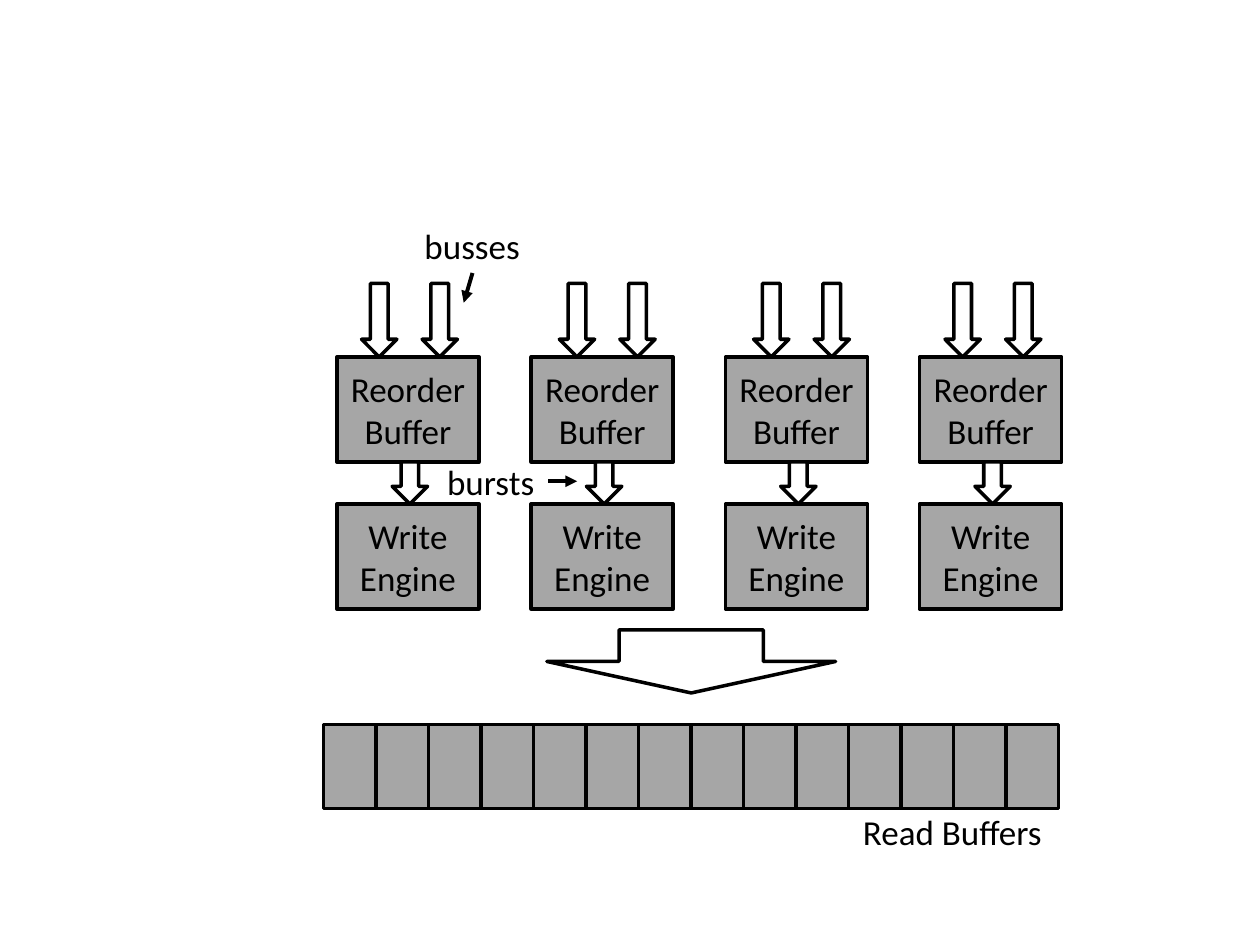
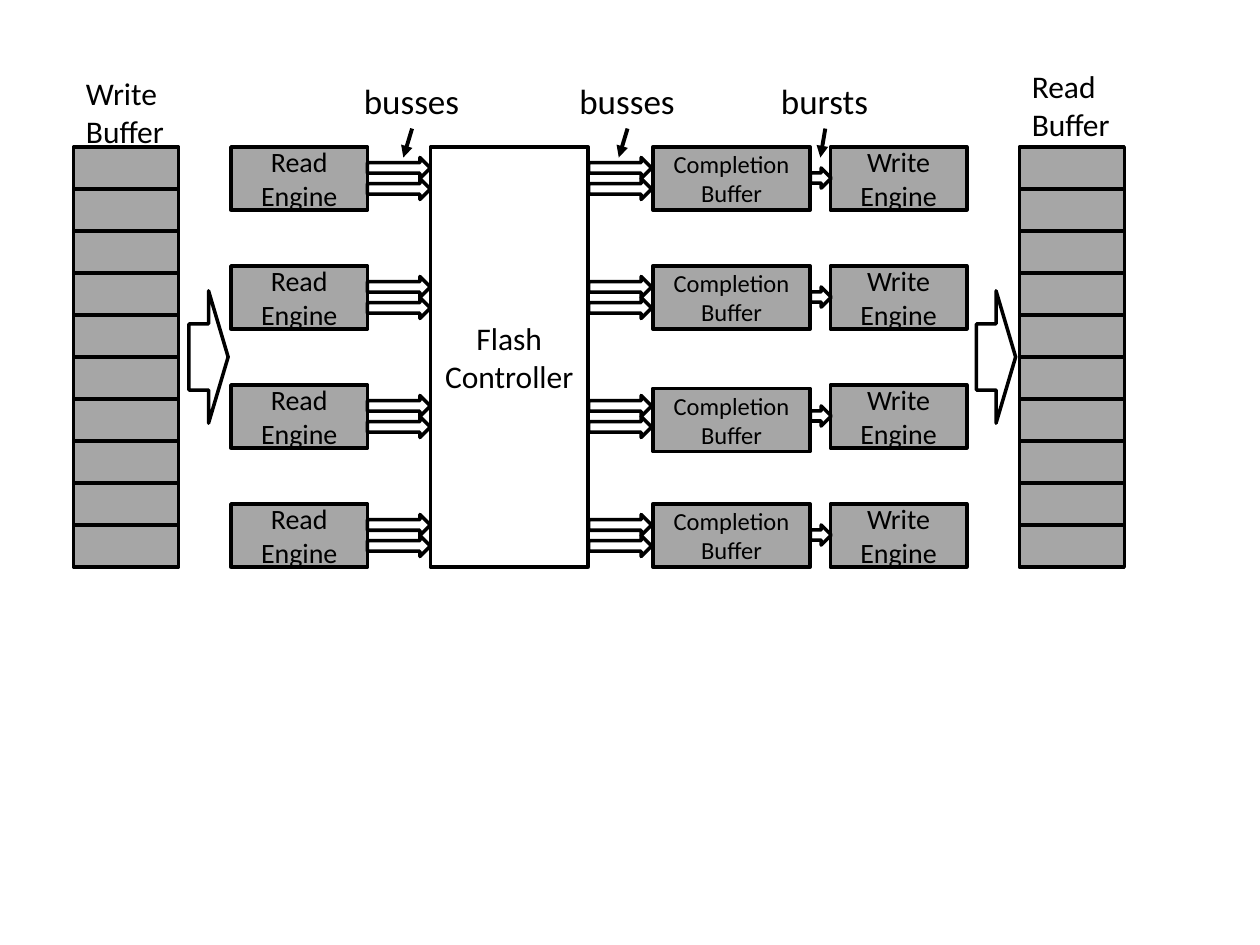
from dataclasses import dataclass

import lxml.etree
import pptx
import pptx.dml.color
import pptx.enum.shapes
import pptx.enum.text
import pptx.oxml.ns
import pptx.slide
import pptx.util

Pt = pptx.util.Pt
Shape = pptx.enum.shapes.MSO_SHAPE
Align = pptx.enum.text.PP_ALIGN
Slide = pptx.slide.Slide

BLACK = pptx.dml.color.RGBColor(0x00, 0x00, 0x00)
GRAY = pptx.dml.color.RGBColor(0xA6, 0xA6, 0xA6)
WHITE = pptx.dml.color.RGBColor(0xFF, 0xFF, 0xFF)
FONT = "Calibri"
OUTLINE_WIDTH = 2
POINTER_WIDTH = 2.25
LABEL_SIZE = 20


@dataclass(frozen=True)
class Box:
    left: float
    top: float
    width: float
    height: float
    text: str = ""
    size: float = LABEL_SIZE
    fill: pptx.dml.color.RGBColor = GRAY
    preset: Shape = Shape.RECTANGLE


@dataclass(frozen=True)
class Label:
    left: float
    top: float
    width: float
    height: float
    text: str
    size: float = LABEL_SIZE


@dataclass(frozen=True)
class Pointer:
    start_x: float
    start_y: float
    end_x: float
    end_y: float


def style_text(text_frame, text: str, size: float, alignment: Align) -> None:
    text_frame.text = text
    for paragraph in text_frame.paragraphs:
        paragraph.alignment = alignment
        for run in paragraph.runs:
            run.font.name = FONT
            run.font.size = Pt(size)
            run.font.color.rgb = BLACK


def draw_box(slide: Slide, box: Box) -> None:
    shape = slide.shapes.add_shape(
        box.preset, Pt(box.left), Pt(box.top), Pt(box.width), Pt(box.height)
    )
    shape.shadow.inherit = False
    shape.fill.solid()
    shape.fill.fore_color.rgb = box.fill
    shape.line.color.rgb = BLACK
    shape.line.width = Pt(OUTLINE_WIDTH)
    if box.text:
        shape.text_frame.vertical_anchor = pptx.enum.text.MSO_ANCHOR.MIDDLE
        style_text(shape.text_frame, box.text, box.size, Align.CENTER)


def draw_arrow(
    slide: Slide, preset: Shape, left: float, top: float, width: float, height: float
) -> None:
    draw_box(slide, Box(left, top, width, height, fill=WHITE, preset=preset))


def draw_label(slide: Slide, label: Label) -> None:
    shape = slide.shapes.add_textbox(
        Pt(label.left), Pt(label.top), Pt(label.width), Pt(label.height)
    )
    shape.text_frame.word_wrap = False
    shape.text_frame.auto_size = pptx.enum.text.MSO_AUTO_SIZE.SHAPE_TO_FIT_TEXT
    style_text(shape.text_frame, label.text, label.size, Align.LEFT)


def draw_pointer(slide: Slide, pointer: Pointer) -> None:
    connector = slide.shapes.add_connector(
        pptx.enum.shapes.MSO_CONNECTOR.STRAIGHT,
        Pt(pointer.start_x), Pt(pointer.start_y), Pt(pointer.end_x), Pt(pointer.end_y),
    )
    connector.line.color.rgb = BLACK
    connector.line.width = Pt(POINTER_WIDTH)
    qualified = pptx.oxml.ns.qn
    outline = connector.line._get_or_add_ln()
    lxml.etree.SubElement(outline, qualified("a:tailEnd"), type="triangle")
    lxml.etree.SubElement(connector._element.spPr, qualified("a:effectLst"))


def draw_cells(
    slide: Slide, first: Box, count: int, step_x: float = 0, step_y: float = 0
) -> None:
    for index in range(count):
        draw_box(slide, Box(first.left + index * step_x, first.top + index * step_y,
                            first.width, first.height))


def build_read_path(slide: Slide) -> None:
    draw_cells(slide, Box(185, 414, 30, 48), 14, step_x=30)
    draw_arrow(slide, Shape.DOWN_ARROW, 312.5, 360, 165, 36)

    bus_lefts = (206.6, 319.6, 430.6, 540)
    for column, bus_left in enumerate(bus_lefts):
        left = 192.5 + column * 111
        for offset in (0, 34.6):
            draw_arrow(slide, Shape.DOWN_ARROW, bus_left + offset, 162, 20.2, 42)
        draw_box(slide, Box(left, 204, 81.2, 60, "Reorder\nBuffer"))
        draw_box(slide, Box(left, 288, 81.2, 60, "Write\nEngine"))
        draw_arrow(slide, Shape.DOWN_ARROW, left + 31.6, 264, 20.2, 24)

    for label in (
        Label(235.5, 124.6, 69.8, 31.5, "busses"),
        Label(248.4, 259.4, 64.8, 31.5, "bursts"),
        Label(486, 459.4, 118, 31.5, "Read Buffers"),
    ):
        draw_label(slide, label)
    draw_pointer(slide, Pointer(270, 156, 265, 173))
    draw_pointer(slide, Pointer(313.2, 275, 329.8, 275))


def build_full_path(slide: Slide) -> None:
    top = 84
    for buffer_left in (42, 582.5):
        draw_cells(slide, Box(buffer_left, top, 60, 24), 10, step_y=24)
    draw_box(slide, Box(246, top, 90, 240, "Flash\nController", 18, WHITE))

    completion_shifts = (0, 0, 2, 0)
    for row, shift in enumerate(completion_shifts):
        row_top = top + row * 68
        draw_box(slide, Box(132, row_top, 78, 36, "Read\nEngine", 16))
        draw_box(slide, Box(373, row_top + shift, 90, 36, "Completion\nBuffer", 14))
        draw_box(slide, Box(474.5, row_top, 78, 36, "Write\nEngine", 16))
        for bus_left in (210, 336.4):
            for offset in (6, 18):
                draw_arrow(slide, Shape.RIGHT_ARROW, bus_left, row_top + offset, 36, 12)
        draw_arrow(slide, Shape.RIGHT_ARROW, 463, row_top + 12, 12, 11.5)

    for arrow_left in (108, 558):
        draw_arrow(slide, Shape.RIGHT_ARROW, arrow_left, 166.2, 22.4, 75.6)

    for label in (
        Label(42, 38.8, 60, 51, "Write\nBuffer", 18),
        Label(582.5, 35, 60, 51, "Read\nBuffer", 18),
        Label(200.8, 42, 69.8, 31.5, "busses"),
        Label(324, 42, 69.8, 31.5, "busses"),
        Label(439.2, 42, 64.8, 31.5, "bursts"),
    ):
        draw_label(slide, label)
    for start_x, end_x in ((235.5, 230.5), (358.6, 353.6), (471.6, 468.8)):
        draw_pointer(slide, Pointer(start_x, 73.5, end_x, 90))


presentation = pptx.Presentation()
presentation.slide_width = Pt(720)
presentation.slide_height = Pt(540)
blank_layout = presentation.slide_layouts[6]
for build in (build_read_path, build_full_path):
    build(presentation.slides.add_slide(blank_layout))
presentation.save("out.pptx")
